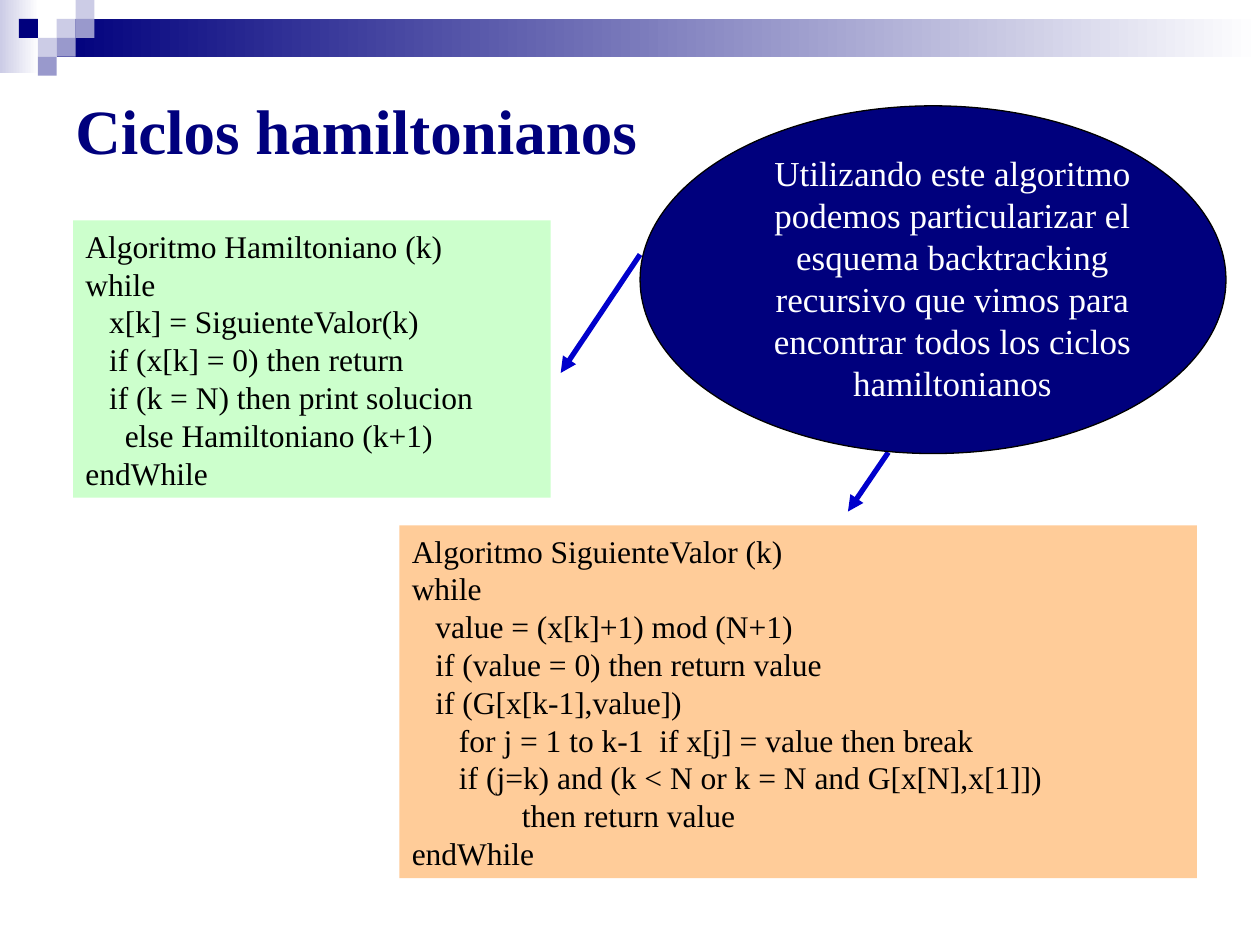
import pptx
import pptx.dml.color
import pptx.enum.shapes
import pptx.enum.text
import pptx.oxml.ns
import pptx.util
from lxml import etree

Inches, Pt = pptx.util.Inches, pptx.util.Pt
SHAPE = pptx.enum.shapes.MSO_SHAPE
ANCHOR = pptx.enum.text.MSO_ANCHOR
ALIGN = pptx.enum.text.PP_ALIGN

COLORS = {
    "navy": "00007D", "lilac": "CCCCE6", "violet": "9999CC", "white": "FFFFFF",
    "black": "000000", "green": "CCFFCC", "orange": "FFCC99", "arrow": "0000CC",
}
FONT = "Times New Roman"

HAMILTONIANO = """Algoritmo Hamiltoniano (k)
while
   x[k] = SiguienteValor(k)
   if (x[k] = 0) then return
   if (k = N) then print solucion
     else Hamiltoniano (k+1)
endWhile"""

SIGUIENTE_VALOR = """Algoritmo SiguienteValor (k)
while
   value = (x[k]+1) mod (N+1)
   if (value = 0) then return value
   if (G[x[k-1],value])
      for j = 1 to k-1  if x[j] = value then break
      if (j=k) and (k < N or k = N and G[x[N],x[1]])
              then return value
endWhile"""


def rgb(name):
    return pptx.dml.color.RGBColor.from_string(COLORS[name])


def add_block(slide, kind, x, y, w, h, color, fade_to=None):
    sp = slide.shapes.add_shape(kind, Inches(x), Inches(y), Inches(w), Inches(h))
    sp.shadow.inherit = False
    sp.line.fill.background()
    if fade_to:
        sp.fill.gradient()
        sp.fill.gradient_angle = 0
        for stop, name in zip(sp.fill.gradient_stops, (color, fade_to)):
            stop.color.rgb = rgb(name)
    else:
        sp.fill.solid()
        sp.fill.fore_color.rgb = rgb(color)
    return sp


def write(sp, text, size, color, align=ALIGN.LEFT, anchor=ANCHOR.MIDDLE, bold=False):
    tf = sp.text_frame
    tf.word_wrap = True
    tf.vertical_anchor = anchor
    for i, line in enumerate(text.split("\n")):
        p = tf.add_paragraph() if i else tf.paragraphs[0]
        p.text = line
        p.alignment = align
        p.font.name, p.font.size, p.font.bold = FONT, Pt(size), bold
        p.font.color.rgb = rgb(color)


def add_text(slide, x, y, w, h, *args, **kwargs):
    box = slide.shapes.add_textbox(Inches(x), Inches(y), Inches(w), Inches(h))
    write(box, *args, **kwargs)


def add_header(slide, x, y, w):
    """Fading bar with a mosaic of small squares at its left end."""
    side = 0.15
    add_block(slide, SHAPE.RECTANGLE, x, y, 0.31, 0.58, "lilac", "white")
    add_block(slide, SHAPE.RECTANGLE, x + 3 * side, y + side, w - 3 * side,
              2 * side, "navy", "white")
    mosaic = [(3, 1, "lilac"), (4, 0, "lilac"), (4, 1, "violet"), (2, 2, "lilac"),
              (1, 1, "navy"), (3, 2, "violet"), (2, 3, "violet")]
    for col, row, color in mosaic:
        add_block(slide, SHAPE.RECTANGLE, x + col * side, y + row * side,
                  side, side, color)


def add_code(slide, x, y, w, h, code, color):
    write(add_block(slide, SHAPE.RECTANGLE, x, y, w, h, color), code, 18, "black")


def add_arrow(slide, x1, y1, x2, y2):
    line = slide.shapes.add_connector(
        pptx.enum.shapes.MSO_CONNECTOR.STRAIGHT,
        Inches(x1), Inches(y1), Inches(x2), Inches(y2))
    line.line.color.rgb = rgb("arrow")
    line.line.width = Pt(3)
    qn = pptx.oxml.ns.qn
    etree.SubElement(line.line._get_or_add_ln(), qn("a:tailEnd"), type="triangle")
    etree.SubElement(line._element.spPr, qn("a:effectLst"))


def add_callout(slide, x, y, w, h):
    """Ellipse with its explanation and an arrow to each algorithm."""
    add_arrow(slide, x + 1.97, y + 2.75, x + 1.65, y + 3.22)
    ellipse = add_block(slide, SHAPE.OVAL, x, y, w, h, "navy")
    ellipse.line.color.rgb = rgb("black")
    ellipse.line.width = Pt(0.75)
    add_text(slide, x + 0.63, y + 0.31, 3.7, 2.1,
             "Utilizando este algoritmo podemos particularizar el esquema "
             "backtracking recursivo que vimos para encontrar todos los ciclos "
             "hamiltonianos", 20, "white", ALIGN.CENTER, ANCHOR.TOP)
    add_arrow(slide, x, y + 1.18, x - 0.63, y + 2.12)


def main():
    prs = pptx.Presentation()
    prs.slide_width, prs.slide_height = Inches(10), Inches(7.5)
    slide = prs.slides.add_slide(prs.slide_layouts[6])

    add_header(slide, 0, 0, 10)
    add_code(slide, 0.58, 1.75, 3.79, 2.2, HAMILTONIANO, "green")
    add_code(slide, 3.17, 4.17, 6.33, 2.8, SIGUIENTE_VALOR, "orange")
    add_text(slide, 0.5, 0.5, 9.3, 1.05, "Ciclos hamiltonianos", 36, "navy", bold=True)
    add_callout(slide, 5.08, 0.84, 4.65, 2.76)

    prs.save("out.pptx")


if __name__ == "__main__":
    main()
